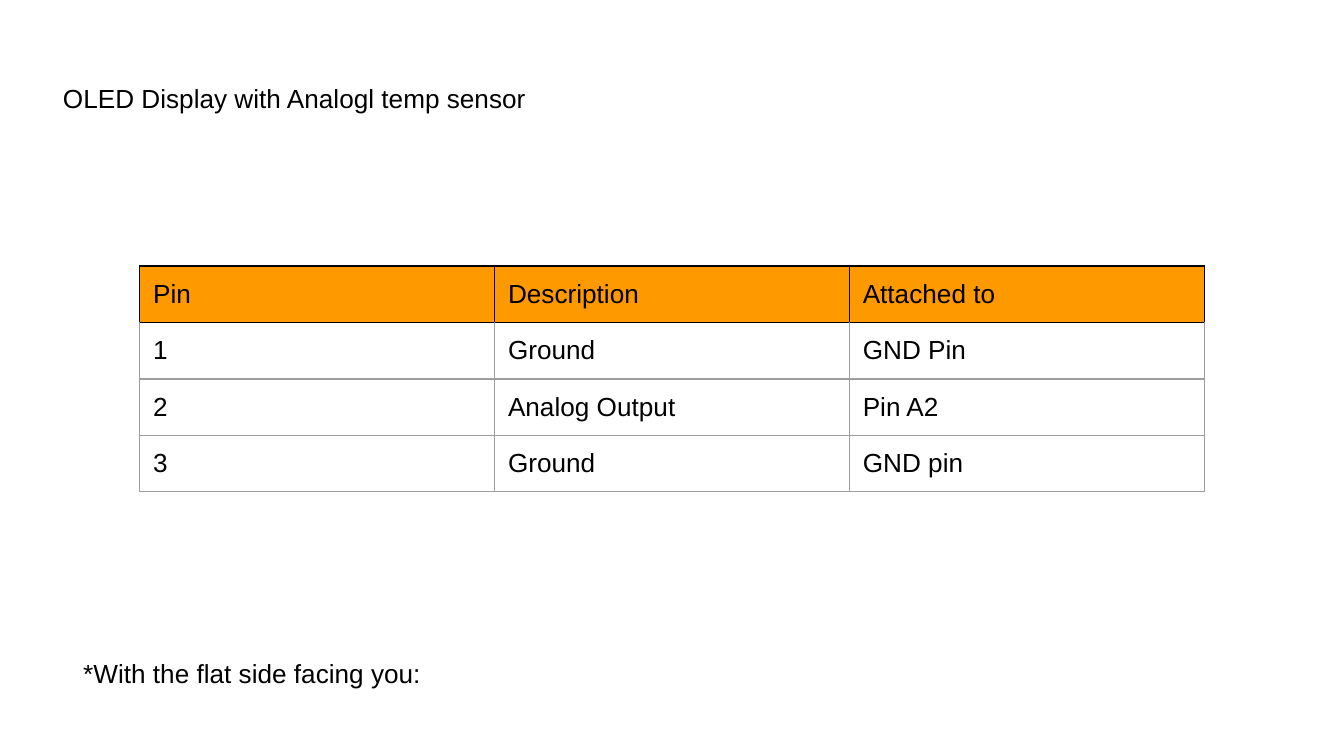
"""Build the temperature sensor wiring slide with its pin table."""

import dataclasses
import typing

import lxml.etree
import pptx
import pptx.dml.color
import pptx.oxml.ns
import pptx.slide
import pptx.table
import pptx.text.text
import pptx.util

Inches = pptx.util.Inches


@dataclasses.dataclass(frozen=True)
class Theme:
    font: str = "Arial"
    text_size: int = 14
    text_color: str = "000000"
    header_fill: str = "FF9900"
    header_border: str = "000000"
    body_border: str = "9E9E9E"
    border_width: float = 0.75
    inset: float = 0.1


@dataclasses.dataclass(frozen=True)
class Label:
    text: str
    left: float
    top: float
    width: float
    height: float = 0.3


class PinRow(typing.NamedTuple):
    pin: str
    description: str
    attached_to: str


THEME = Theme()
SLIDE_WIDTH = Inches(10)
SLIDE_HEIGHT = SLIDE_WIDTH * 9 // 16
LABELS = (
    Label("OLED Display with Analogl temp sensor", 0.37, 0.51, 8.53),
    Label("*With the flat side facing you:", 0.52, 4.79, 8.15),
)
PIN_ROWS = (
    PinRow("Pin", "Description", "Attached to"),
    PinRow("1", "Ground", "GND Pin"),
    PinRow("2", "Analog Output", "Pin A2"),
    PinRow("3", "Ground", "GND pin"),
)
TABLE_LEFT, TABLE_TOP = 1.04, 1.98
COLUMN_WIDTH, ROW_HEIGHT = 2.64, 0.42


def set_text(text_frame: pptx.text.text.TextFrame, text: str) -> None:
    text_frame.text = text
    for run in text_frame.paragraphs[0].runs:
        run.font.name = THEME.font
        run.font.size = pptx.util.Pt(THEME.text_size)
        run.font.color.rgb = pptx.dml.color.RGBColor.from_string(THEME.text_color)


def set_margins(holder: typing.Any) -> None:
    holder.margin_left = holder.margin_right = Inches(THEME.inset)
    holder.margin_top = holder.margin_bottom = Inches(THEME.inset)


def add_label(slide: pptx.slide.Slide, label: Label) -> None:
    shape = slide.shapes.add_textbox(
        Inches(label.left), Inches(label.top), Inches(label.width), Inches(label.height)
    )
    shape.text_frame.word_wrap = True
    set_margins(shape.text_frame)
    set_text(shape.text_frame, label.text)


def set_borders(cell: pptx.table._Cell, color: str, top_color: str) -> None:
    qualified = pptx.oxml.ns.qn
    properties = cell._tc.get_or_add_tcPr()
    width = str(int(pptx.util.Pt(THEME.border_width)))
    for side in "LRTB":
        line = lxml.etree.SubElement(properties, qualified(f"a:ln{side}"), w=width)
        fill = lxml.etree.SubElement(line, qualified("a:solidFill"))
        side_color = top_color if side == "T" else color
        lxml.etree.SubElement(fill, qualified("a:srgbClr"), val=side_color)


def format_cell(cell: pptx.table._Cell, text: str, row_index: int) -> None:
    is_header = row_index == 0
    set_margins(cell)
    set_text(cell.text_frame, text)
    set_borders(
        cell,
        THEME.header_border if is_header else THEME.body_border,
        THEME.header_border if row_index <= 1 else THEME.body_border,
    )
    if is_header:
        cell.fill.solid()
        cell.fill.fore_color.rgb = pptx.dml.color.RGBColor.from_string(THEME.header_fill)
    else:
        cell.fill.background()


def add_pin_table(slide: pptx.slide.Slide, rows: typing.Sequence[PinRow]) -> None:
    column_count = len(PinRow._fields)
    table = slide.shapes.add_table(
        len(rows),
        column_count,
        Inches(TABLE_LEFT),
        Inches(TABLE_TOP),
        Inches(COLUMN_WIDTH * column_count),
        Inches(ROW_HEIGHT * len(rows)),
    ).table
    table.first_row = False
    table.horz_banding = False
    for row_index, row in enumerate(rows):
        for column_index, text in enumerate(row):
            format_cell(table.cell(row_index, column_index), text, row_index)


def main() -> None:
    presentation = pptx.Presentation()
    presentation.slide_width = SLIDE_WIDTH
    presentation.slide_height = SLIDE_HEIGHT
    slide = presentation.slides.add_slide(presentation.slide_layouts[6])
    add_pin_table(slide, PIN_ROWS)
    for label in LABELS:
        add_label(slide, label)
    presentation.save("out.pptx")


if __name__ == "__main__":
    main()
